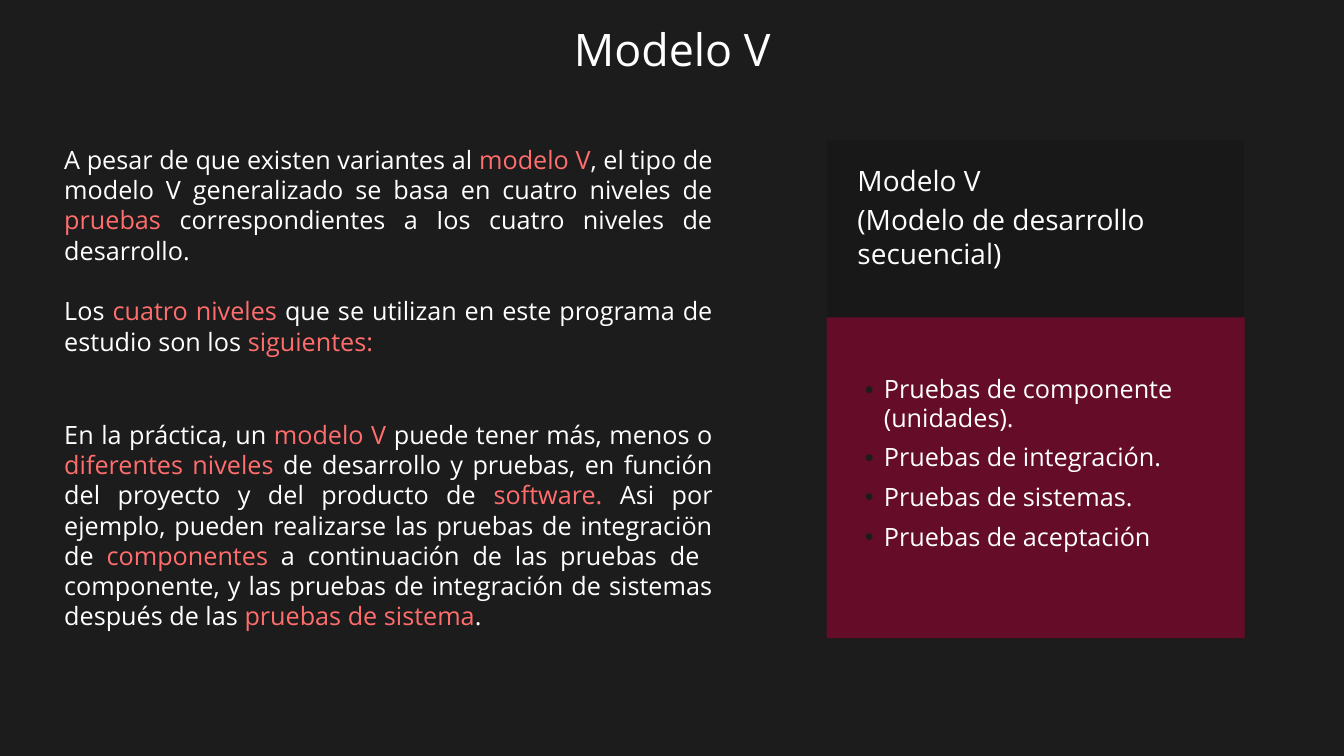
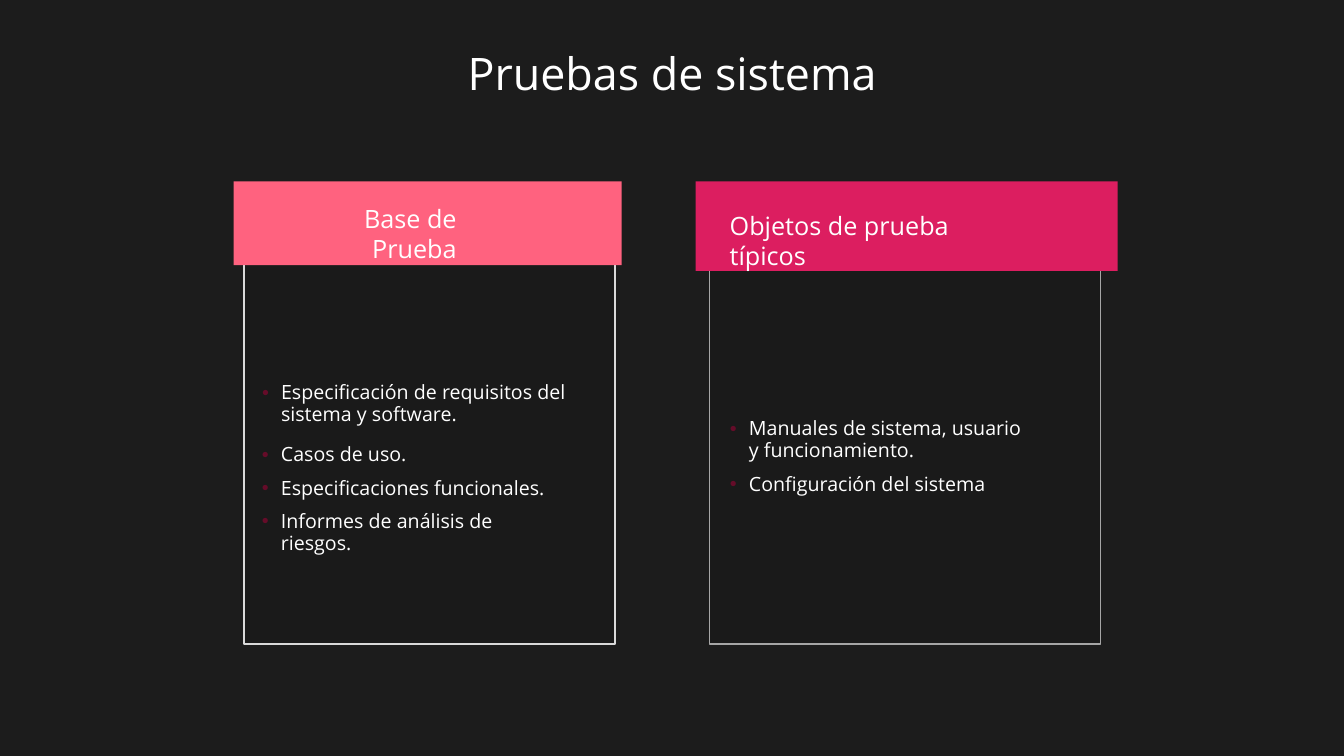
"""Build two dark slides on the V model and on system testing."""
from dataclasses import dataclass

from lxml.etree import SubElement as Sub
from pptx import Presentation
from pptx.dml.color import RGBColor as RGB
from pptx.enum.shapes import MSO_SHAPE as SHAPE
from pptx.enum.text import MSO_ANCHOR as ANCHOR, MSO_AUTO_SIZE as AUTO, PP_ALIGN as ALIGN
from pptx.oxml.ns import qn
from pptx.util import Cm, Pt


@dataclass(frozen=True)
class Theme:
    font: str = "Open Sans"
    bg: str = "1C1C1C"
    text: str = "FFFFFF"
    accent: str = "FF6D6D"
    header: str = "181818"
    wine: str = "650C29"
    pink: str = "FF627F"
    magenta: str = "DC1E60"
    veil: str = "0E0E0E"
    light_line: str = "D9D9D9"
    gray_line: str = "A6A6A6"
    title: int = 32
    heading: int = 20
    body: int = 18
    small: int = 14


T = Theme()


def rect(s, box, fill, line=None, opacity=None):
    sp = s.shapes.add_shape(SHAPE.RECTANGLE, *map(Cm, box))
    sp.shadow.inherit = False
    sp.fill.solid()
    sp.fill.fore_color.rgb = RGB.from_string(fill)
    if opacity:
        clr = sp.fill._xPr.find(qn("a:solidFill"))[0]
        Sub(clr, qn("a:alpha"), val=str(opacity * 1000))
    if line:
        sp.line.color.rgb = RGB.from_string(line)
        sp.line.width = Pt(1)
    else:
        sp.line.fill.background()


def write(s, box, lines, size, sp=None, align=ALIGN.LEFT, anchor=ANCHOR.TOP,
          spacing=1.0, before=0, after=0, bullet=None):
    """Write lines into a placeholder or a new text box; *stars* mark accents."""
    sp = sp or s.shapes.add_textbox(*map(Cm, box))
    sp.left, sp.top, sp.width, sp.height = map(Cm, box)
    s.shapes.element.append(sp.element)
    tf = sp.text_frame
    tf.text = "\n".join(lines)
    tf.word_wrap, tf.auto_size, tf.vertical_anchor = True, AUTO.NONE, anchor
    for p in tf.paragraphs:
        p.alignment, p.line_spacing = align, spacing
        p.space_before, p.space_after = Pt(before), Pt(after)
        parts = p.text.split("*")
        p.text = parts[0]
        for part in parts[1:]:
            p.add_run().text = part
        for i, r in enumerate(p.runs):
            r.font.name, r.font.size = T.font, Pt(size)
            r.font.color.rgb = RGB.from_string(T.accent if i % 2 else T.text)
        if bullet:
            pPr = p._p.get_or_add_pPr()
            pPr.set("marL", str(Cm(0.48)))
            pPr.set("indent", str(-Cm(0.48)))
            Sub(Sub(pPr, qn("a:buClr")), qn("a:srgbClr"), val=bullet)
            Sub(pPr, qn("a:buFont"), typeface="Arial")
            Sub(pPr, qn("a:buChar"), char="•")


prs = Presentation()
prs.slide_width, prs.slide_height = Cm(33.87), Cm(19.05)
bg = prs.slide_master.background.fill
bg.solid()
bg.fore_color.rgb = RGB.from_string(T.bg)

slides = []
for layout, title, top in [(1, "Modelo V", 0.41), (3, "Pruebas de sistema", 1.02)]:
    s = prs.slides.add_slide(prs.slide_layouts[layout])
    write(s, (2.34, top, 29.21, 1.78), [title], T.title, sp=s.shapes.title,
          align=ALIGN.CENTER, anchor=ANCHOR.MIDDLE, spacing=0.9)
    slides.append(s)
model, system = slides

rect(model, (20.83, 3.51, 10.54, 6.35), T.header, T.bg)
rect(model, (20.83, 8, 10.54, 8.08), T.wine)
write(model, (21.36, 3.99, 10.01, 3.68),
      ["Modelo V", "(Modelo de desarrollo secuencial)"], T.heading, before=4)
write(model, (21.54, 9.35, 10.01, 4.72),
      ["Pruebas de componente (unidades).", "Pruebas de integración.",
       "Pruebas de sistemas.", "Pruebas de aceptación"],
      T.body, sp=model.placeholders[1], spacing=0.94, after=8, bullet=T.bg)

intro = [
    "A pesar de que existen variantes al *modelo V*, el tipo de modelo V generalizado "
    "se basa en cuatro niveles de *pruebas* correspondientes a Ios cuatro niveles de "
    "desarrollo. ",
    "Los *cuatro niveles *que se utilizan en este programa de estudio son los "
    "*siguientes:*",
]
practice = [
    "En la práctica, un *modelo V *puede tener más, menos o *diferentes niveles *de "
    "desarrollo y pruebas, en función del proyecto y del producto de *software. *Asi "
    "por ejemplo, pueden realizarse las pruebas de integraciön de *componentes* a "
    "continuación de las pruebas de  componente, y las pruebas de integración de "
    "sistemas después de las *pruebas de sistema*.",
]
for top, lines in [(3.51, intro), (10.44, practice)]:
    write(model, (1.37, top, 16.84, 5.64), lines, T.body, align=ALIGN.JUSTIFY, after=21.7)

rect(system, (6.15, 6.2, 9.35, 10.03), T.veil, T.light_line, opacity=10)
rect(system, (17.88, 6.65, 9.86, 9.58), T.veil, T.gray_line, opacity=10)
rect(system, (5.89, 4.57, 9.78, 2.11), T.pink)
rect(system, (17.53, 4.57, 10.64, 2.26), T.magenta)
write(system, (6.91, 5, 4.85, 1.02), ["Base de Prueba"], T.body, align=ALIGN.RIGHT)
write(system, (18.14, 5.18, 7.8, 1.02), ["Objetos de prueba típicos"], T.body)

first, second = system.placeholders[1], system.placeholders[2]
for sp, box, lines in [
    (first, (6.35, 9.5, 8.53, 1.37),
     ["Especificación de requisitos del sistema y software."]),
    (None, (6.35, 11.07, 8.15, 2.51),
     ["Casos de uso.", "Especificaciones funcionales.",
      "Informes de análisis de riesgos."]),
    (second, (18.14, 10.41, 8.18, 2.24),
     ["Manuales de sistema, usuario y funcionamiento.", "Configuración del sistema"]),
]:
    write(system, box, lines, T.small, sp=sp, spacing=0.94, after=8, bullet=T.wine)

prs.save("out.pptx")
